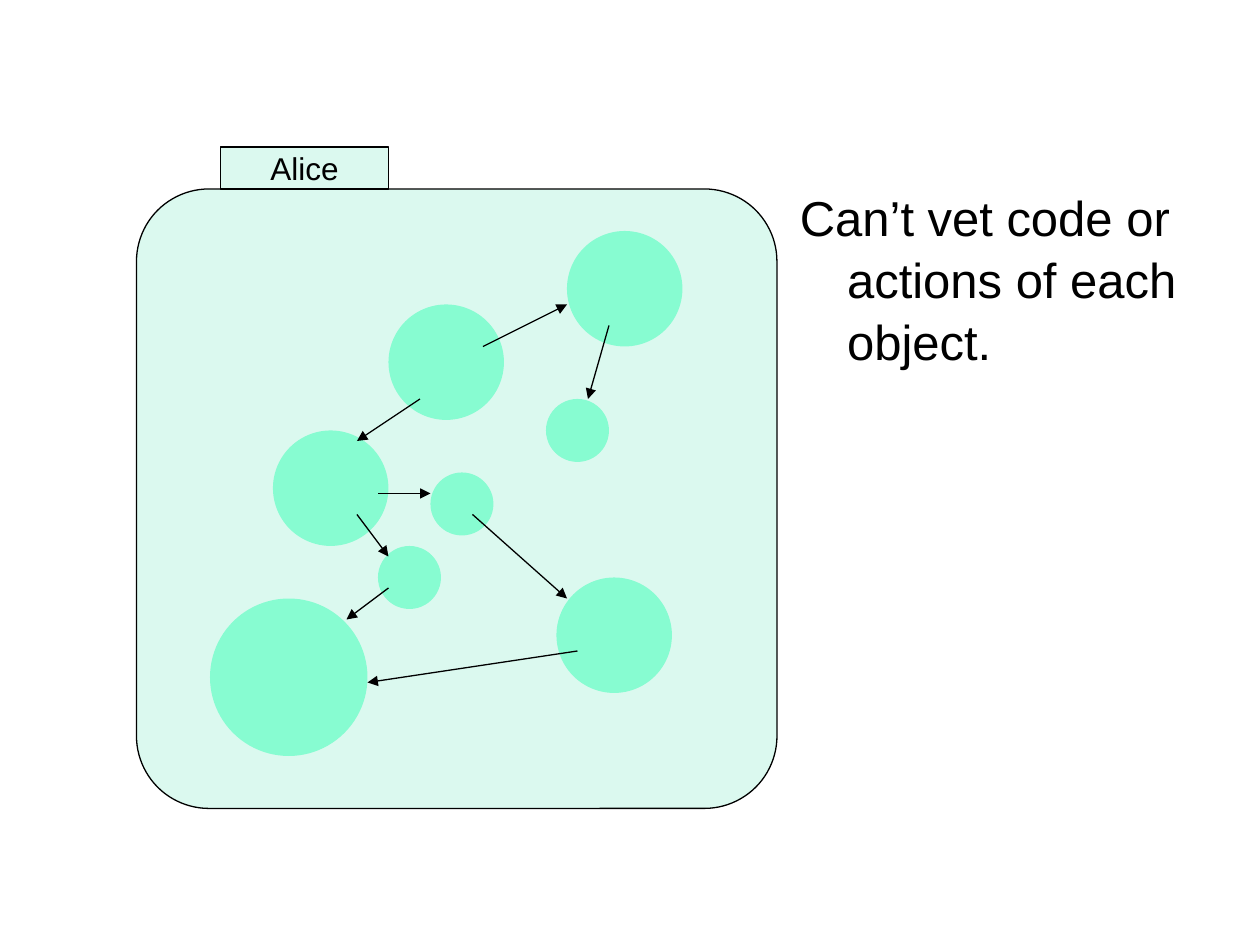
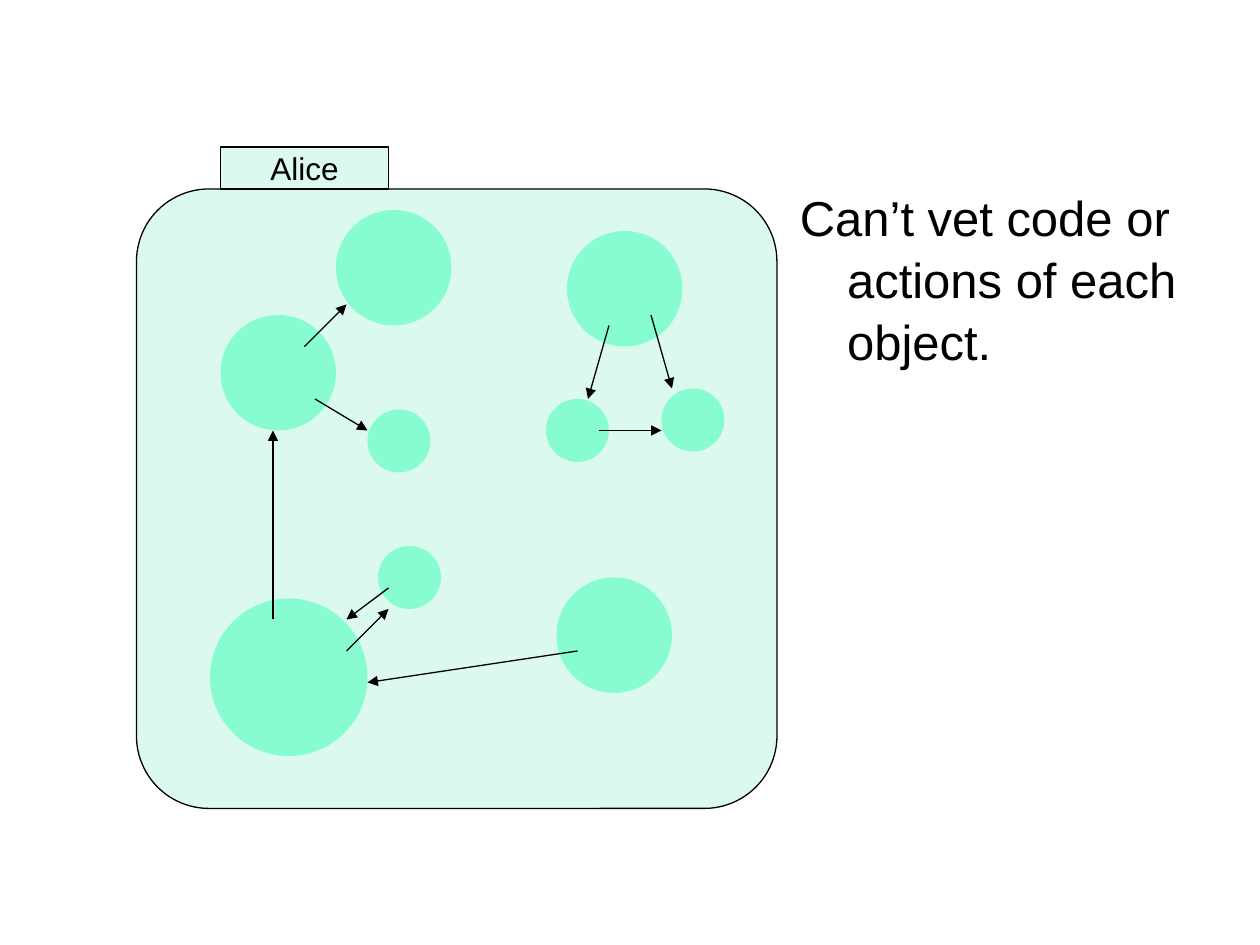
from lxml import etree
from pptx import Presentation
from pptx.dml.color import RGBColor
from pptx.enum.shapes import MSO_CONNECTOR, MSO_SHAPE
from pptx.enum.text import MSO_ANCHOR, PP_ALIGN
from pptx.oxml.ns import qn
from pptx.util import Pt

LINE = MSO_CONNECTOR.STRAIGHT
RECT, ROUND, OVAL = MSO_SHAPE.RECTANGLE, MSO_SHAPE.ROUNDED_RECTANGLE, MSO_SHAPE.OVAL
TOP, MIDDLE = MSO_ANCHOR.TOP, MSO_ANCHOR.MIDDLE
LEFT, CENTER = PP_ALIGN.LEFT, PP_ALIGN.CENTER

SMALL, MID, BIG = 36, 66, 90

SHARED_NODES = [(324, 132, MID), (120, 342, BIG), (318, 330, MID),
                (216, 312, SMALL), (312, 228, SMALL)]
SHARED_LINKS = [(330, 372, 210, 390), (222, 336, 198, 354), (348, 186, 336, 228)]

CHAIN_NODES = [(222, 174, MID), (156, 246, MID), (246, 270, SMALL)]
CHAIN_LINKS = [(270, 294, 324, 342), (240, 228, 204, 252), (216, 282, 246, 282),
               (204, 294, 222, 318), (276, 198, 324, 174)]

GROUP_NODES = [(126, 180, MID), (192, 120, MID), (210, 234, SMALL), (378, 222, SMALL)]
GROUP_LINKS = [(198, 372, 222, 348), (156, 354, 156, 246), (174, 198, 198, 174),
               (180, 228, 210, 246), (342, 246, 378, 246), (372, 180, 384, 222)]


def color(code):
    """Turn a hex string into a colour."""
    return RGBColor.from_string(code)


def write(frame, text, size=18, ink="000000", font="Arial", align=LEFT,
          anchor=TOP, wrap=True, hang=0, spacing=None):
    """Put one formatted paragraph into a text frame."""
    frame.word_wrap = wrap
    frame.vertical_anchor = anchor
    para = frame.paragraphs[0]
    para.alignment = align
    para.line_spacing = spacing
    if hang:
        props = para._p.get_or_add_pPr()
        props.set("marL", str(Pt(hang)))
        props.set("indent", str(Pt(-hang)))
    run = para.add_run()
    run.text = text
    run.font.size = Pt(size)
    run.font.name = font
    run.font.color.rgb = color(ink)


class Deck:
    """Holds the style and the current slide."""

    ink, pale, mint = "000000", "DBF9EF", "87FCD1"
    stroke = 0.75

    def __init__(self):
        """Open an empty deck of 10 by 7.5 inches."""
        self.prs = Presentation()
        self.prs.slide_width, self.prs.slide_height = Pt(720), Pt(540)

    def page(self):
        """Start a blank slide."""
        self.slide = self.prs.slides.add_slide(self.prs.slide_layouts[6])

    def shape(self, kind, box, fill, edge=None):
        """Add a filled preset shape with an optional outline."""
        item = self.slide.shapes.add_shape(kind, *map(Pt, box))
        item.shadow.inherit = False
        item.fill.solid()
        item.fill.fore_color.rgb = color(fill)
        if edge:
            item.line.color.rgb = color(edge)
            item.line.width = Pt(self.stroke)
        else:
            item.line.fill.background()
        return item

    def panel(self, name):
        """Add the rounded panel with its name tab."""
        body = self.shape(ROUND, (78, 108, 366, 354), self.pale, self.ink)
        body.adjustments[0] = 0.117
        tab = self.shape(RECT, (126, 84, 96, 24), self.pale, self.ink)
        write(tab.text_frame, name, align=CENTER, anchor=MIDDLE, wrap=False)

    def node(self, x, y, size):
        """Add one object circle."""
        self.shape(OVAL, (x, y, size, size), self.mint)

    def link(self, *ends):
        """Add an arrow between two points."""
        line = self.slide.shapes.add_connector(LINE, *map(Pt, ends))
        line.line.color.rgb = color(self.ink)
        line.line.width = Pt(self.stroke)
        etree.SubElement(line.line._get_or_add_ln(), qn("a:tailEnd"), type="triangle")
        etree.SubElement(line._element.spPr, qn("a:effectLst"))

    def note(self, text):
        """Add the remark on the right."""
        box = self.slide.shapes.add_textbox(*map(Pt, (450, 102, 258, 380)))
        write(box.text_frame, text, size=28, hang=27, spacing=1.05)


def main():
    """Build both slides and save them."""
    deck = Deck()
    for nodes, links in ((CHAIN_NODES, CHAIN_LINKS), (GROUP_NODES, GROUP_LINKS)):
        deck.page()
        deck.panel("Alice")
        for node in SHARED_NODES + nodes:
            deck.node(*node)
        for link in SHARED_LINKS + links:
            deck.link(*link)
        deck.note("Can’t vet code or actions of each object.")
    deck.prs.save("out.pptx")


if __name__ == "__main__":
    main()
